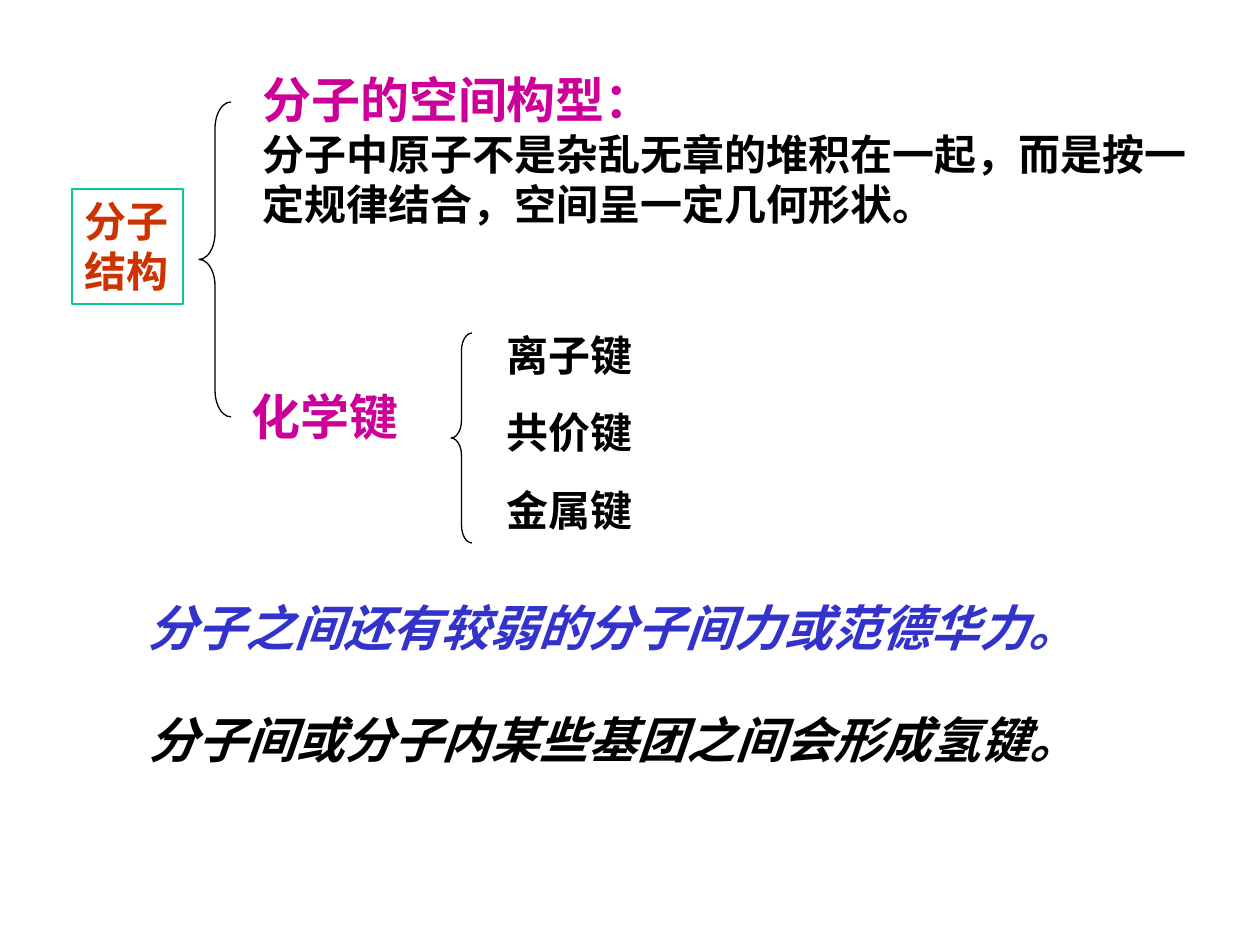
from pptx import Presentation
from pptx.dml.color import RGBColor
from pptx.enum.shapes import MSO_SHAPE
from pptx.enum.text import MSO_ANCHOR, PP_ALIGN
from pptx.util import Pt

EMU_PER_PX = 914400 / 126
FONT = "Times New Roman"
COLORS = {
    "black": "000000",
    "blue": "3333CC",
    "magenta": "CC0099",
    "red": "CC3300",
    "teal": "00CC99",
}

BODY = {"size": Pt(24), "bold": True}
HEADING = {"size": Pt(28), "bold": True}
REMARK = {**HEADING, "italic": True}


def px(length):
    return round(length * EMU_PER_PX)


def box(*lengths):
    return [px(length) for length in lengths]


def color(name):
    return RGBColor.from_string(COLORS[name])


def write(shape, lines, wrap=True, gap=0):
    """Fill a shape with (text, format, color name) paragraphs."""
    frame = shape.text_frame
    frame.word_wrap = wrap
    frame.vertical_anchor = MSO_ANCHOR.TOP
    for index, (text, style, color_name) in enumerate(lines):
        paragraph = frame.add_paragraph() if index else frame.paragraphs[0]
        paragraph.alignment = PP_ALIGN.LEFT
        if index and gap:
            paragraph.space_before = Pt(gap)
        run = paragraph.add_run()
        run.text = text
        for name, value in {"name": FONT, **style}.items():
            setattr(run.font, name, value)
        run.font.color.rgb = color(color_name)


def add_text(slide, position, lines, gap=0):
    write(slide.shapes.add_textbox(*box(*position)), lines, gap=gap)


def add_outline(slide, preset, position, color_name):
    shape = slide.shapes.add_shape(preset, *box(*position))
    shape.shadow.inherit = False
    shape.fill.background()
    shape.line.color.rgb = color(color_name)
    shape.line.width = Pt(0.75)
    return shape


def add_brace(slide, position):
    brace = add_outline(slide, MSO_SHAPE.LEFT_BRACE, position, "black")
    brace.adjustments[0] = 0.83
    brace.adjustments[1] = 0.5


def main():
    presentation = Presentation()
    presentation.slide_width, presentation.slide_height = box(1260, 945)
    slide = presentation.slides.add_slide(presentation.slide_layouts[6])

    # Root topic and its brace
    root = add_outline(slide, MSO_SHAPE.RECTANGLE, (72, 189, 111, 115), "teal")
    write(root, [(text, BODY, "red") for text in ("分子", "结构")], wrap=False)
    add_brace(slide, (199, 102, 32, 315))

    # Two branches
    add_text(slide, (250, 63, 968, 173), [
        ("分子的空间构型：", HEADING, "magenta"),
        ("分子中原子不是杂乱无章的堆积在一起，而是按一定规律结合，空间呈一定几何形状。",
         BODY, "black"),
    ])
    add_text(slide, (239, 380, 222, 72), [("化学键", HEADING, "magenta")])

    # Kinds of chemical bond
    add_brace(slide, (451, 333, 21, 210))
    bonds = ("离子键", "共价键", "金属键")
    add_text(slide, (494, 323, 246, 229),
             [(bond, BODY, "black") for bond in bonds], gap=15.6)

    # Remarks on weaker forces
    add_text(slide, (135, 591, 1051, 72),
             [("分子之间还有较弱的分子间力或范德华力。", REMARK, "blue")])
    add_text(slide, (136, 703, 1050, 72),
             [("分子间或分子内某些基团之间会形成氢键。", REMARK, "black")])

    presentation.save("out.pptx")


if __name__ == "__main__":
    main()
